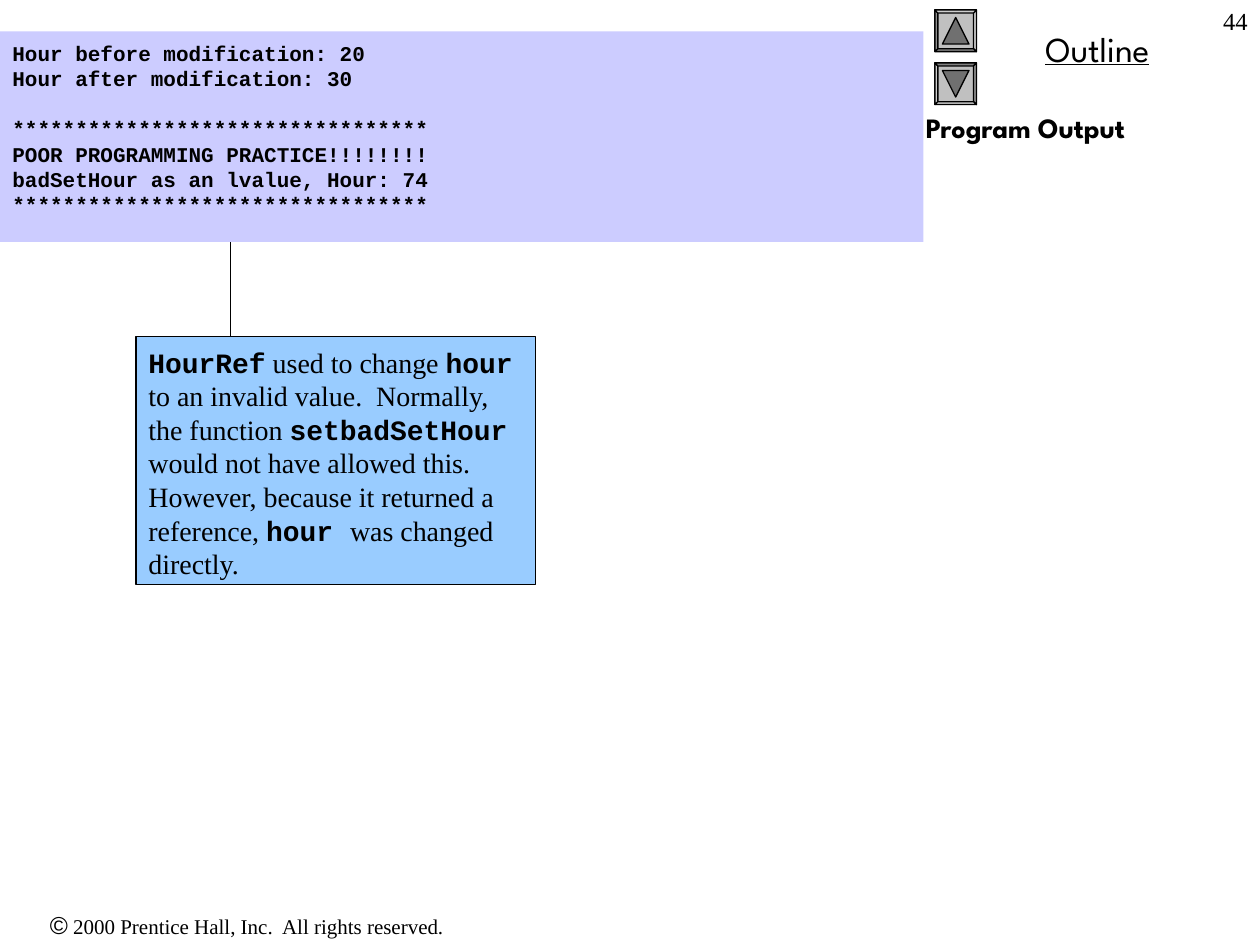
from lxml.etree import SubElement
from pptx import Presentation
from pptx.dml.color import RGBColor
from pptx.enum.shapes import MSO_CONNECTOR as Connector, MSO_SHAPE as Shape
from pptx.enum.text import MSO_ANCHOR as Anchor, PP_ALIGN as Align
from pptx.oxml.ns import qn
from pptx.util import Inches, Pt

COLORS = {
    "ink": "000000", "code": "CCCCFF", "callout": "99CCFF",
    "button": "C0C0C0", "arrow": "707070",
}
BEVEL = ["D0D0D0", "808080", "909090", "CDCDCD"]
STARS = "*" * 33
CODE = {"name": "Courier New", "bold": True}
SERIF = {"name": "Times New Roman", "bold": False}
HEADING = {"name": "League Spartan"}


def rgb(value):
    """Turn a hex string into a colour."""
    return RGBColor.from_string(value)


def write(shape, lines, size, align=Align.LEFT, inset=0.05):
    """Fill a shape with lines, each a list of (text, format) spans."""
    frame = shape.text_frame
    layout = {
        "word_wrap": True, "vertical_anchor": Anchor.TOP,
        "margin_left": Inches(0.1), "margin_right": Inches(0.1),
        "margin_top": Inches(inset), "margin_bottom": Inches(0.05),
    }
    for key, value in layout.items():
        setattr(frame, key, value)
    for index, spans in enumerate(lines):
        para = frame.add_paragraph() if index else frame.paragraphs[0]
        para.alignment = align
        para.line_spacing = Pt(size * 1.2)
        for text, style in spans:
            span = para.add_run()
            span.text = text
            span.font.color.rgb = rgb(COLORS["ink"])
            for key, value in {"size": Pt(size), **style}.items():
                setattr(span.font, key, value)
    return frame


def add_label(page, box, spans, size, align=Align.LEFT):
    """Place one line of plain text in a box."""
    label = page.shapes.add_textbox(*map(Inches, box))
    write(label, [spans], size, align)


def add_panel(page, box, color, outlined):
    """Place a filled rectangle, with or without a thin outline."""
    panel = page.shapes.add_shape(Shape.RECTANGLE, *map(Inches, box))
    panel.shadow.inherit = False
    panel.fill.solid()
    panel.fill.fore_color.rgb = rgb(color)
    if outlined:
        panel.line.color.rgb = rgb(COLORS["ink"])
        panel.line.width = Pt(0.75)
    else:
        panel.line.fill.background()
    return panel


def add_polygon(page, box, points, color):
    """Draw an outlined polygon from points given as shares of a box."""
    left, top, width, height = box
    corners = [(Inches(left + x * width), Inches(top + y * height)) for x, y in points]
    builder = page.shapes.build_freeform(*corners[0])
    builder.add_line_segments(corners[1:], close=True)
    polygon = builder.convert_to_shape()
    polygon.shadow.inherit = False
    polygon.fill.solid()
    polygon.fill.fore_color.rgb = rgb(color)
    polygon.line.color.rgb = rgb(COLORS["ink"])
    polygon.line.width = Pt(0.75)


def add_button(page, box, upward):
    """Draw a bevelled button with an arrow pointing up or down."""
    outer = [(0, 0), (1, 0), (1, 1), (0, 1)]
    inner = [(0.07 + 0.86 * x, 0.07 + 0.86 * y) for x, y in outer]
    add_polygon(page, box, outer, COLORS["button"])
    turns = 1 if upward else 3
    for index, shade in enumerate(BEVEL):
        start, end = (index + turns) % 4, (index + turns + 1) % 4
        side = [outer[start], outer[end], inner[end], inner[start]]
        add_polygon(page, box, side, shade)
    tip, base = (0.18, 0.82) if upward else (0.82, 0.18)
    add_polygon(page, box, [(0.5, tip), (0.82, base), (0.18, base)], COLORS["arrow"])


def add_callout(page, box, spans, reach):
    """Place the note and its arrow running up to the program output."""
    left, top = box[:2]
    write(add_panel(page, box, COLORS["callout"], True), [spans], 16, inset=0.07)
    stem = left + 0.75
    ends = map(Inches, (stem, top, stem, top - reach))
    arrow = page.shapes.add_connector(Connector.STRAIGHT, *ends)
    arrow.line.color.rgb = rgb(COLORS["ink"])
    arrow.line.width = Pt(0.75)
    SubElement(arrow.line._get_or_add_ln(), qn("a:tailEnd"), type="triangle")
    SubElement(arrow._element.spPr, qn("a:effectLst"))


def add_output(page, box, groups):
    """Place the program output, with a one-line gap between groups."""
    lines = [[(line, CODE)] for group in groups for line in group]
    panel = add_panel(page, box, COLORS["code"], False)
    frame = write(panel, lines, 12, inset=0.07)
    frame.paragraphs[len(groups[0])].space_before = Pt(14.4)


def add_sidebar(page, box):
    """Place the outline heading, its two buttons and the section title."""
    left, top, width, height = box
    add_label(page, (left + 0.17, top + 0.17, 2.58, 0.44),
              [("Outline", {**HEADING, "underline": True})], 20, Align.CENTER)
    for index, upward in enumerate((True, False)):
        spot = (left + 0.17, top + 0.08 + index * 0.42, 0.33, 0.33)
        add_button(page, spot, upward)
    add_label(page, (left, top + 0.83, width, height - 0.83),
              [("Program Output", {**HEADING, "bold": True})], 16)


def main():
    """Build and save the deck."""
    deck = Presentation()
    deck.slide_width, deck.slide_height = Inches(10), Inches(7.5)
    page = deck.slides.add_slide(deck.slide_layouts[6])
    add_label(page, (0, 7.17, 3.92, 0.34), [
        ("©", {"name": "Arial"}),
        (" 2000 Prentice Hall, Inc.  All rights reserved.", {**SERIF, "size": Pt(12)}),
    ], 14, Align.CENTER)
    add_sidebar(page, (7.25, 0, 2.67, 7.5))
    add_callout(page, (1.08, 2.67, 3.17, 1.97), [
        ("HourRef", CODE),
        (" used to change ", SERIF),
        ("hour", CODE),
        (" to an invalid value.  Normally, the function ", SERIF),
        ("setbadSetHour ", CODE),
        ("would not have allowed this. However, because it returned a reference, ", SERIF),
        ("hour ", CODE),
        ("was changed directly.", SERIF),
    ], 1)
    add_output(page, (0, 0.25, 7.33, 1.67), [
        ["Hour before modification: 20", "Hour after modification: 30"],
        [STARS, "POOR PROGRAMMING PRACTICE!!!!!!!!",
         "badSetHour as an lvalue, Hour: 74", STARS],
    ])
    add_label(page, (7.92, 0, 2.08, 0.5), [("44", SERIF)], 14, Align.RIGHT)
    deck.save("out.pptx")


if __name__ == "__main__":
    main()
